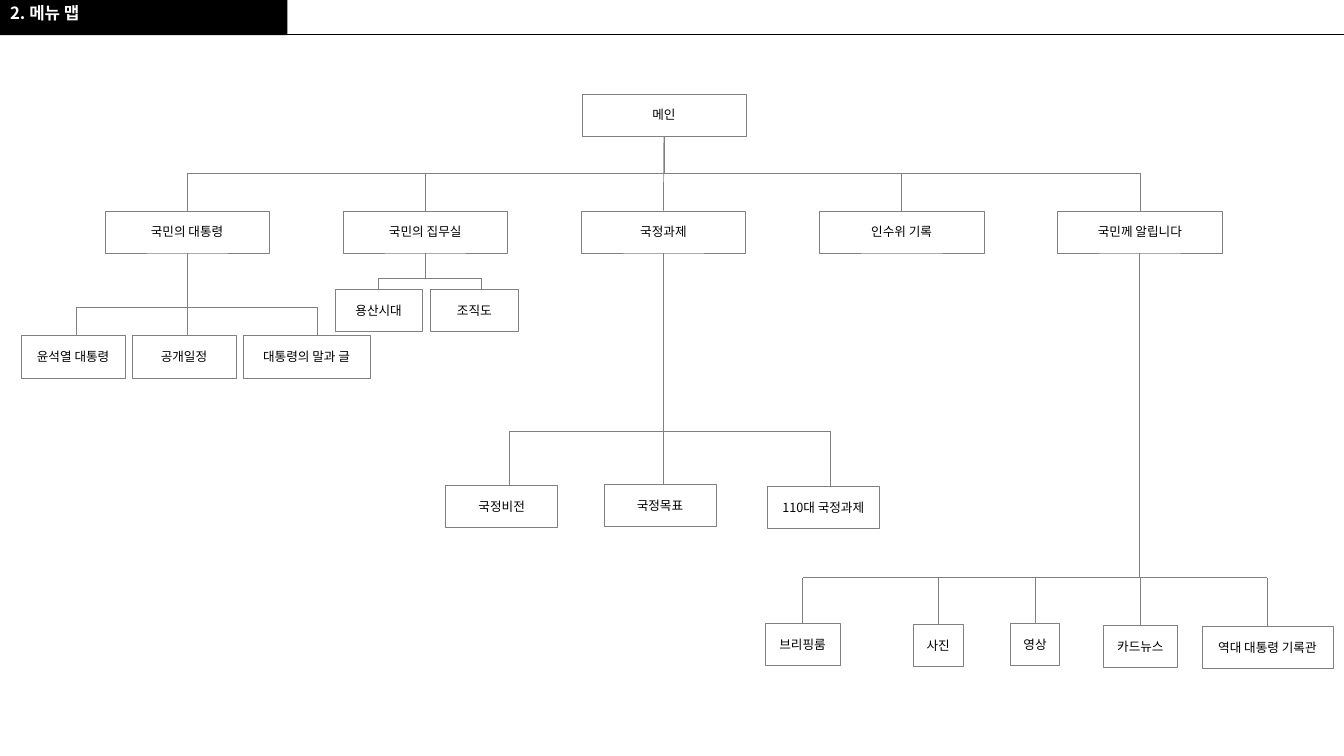
import pptx
import pptx.util
import pptx.dml.color
import pptx.enum.shapes
import pptx.enum.text
import pptx.oxml
import pptx.oxml.ns
import lxml.etree

Inches = pptx.util.Inches
Pt = pptx.util.Pt
RGBColor = pptx.dml.color.RGBColor
SHAPE = pptx.enum.shapes.MSO_SHAPE
CONNECTOR = pptx.enum.shapes.MSO_CONNECTOR
ALIGN = pptx.enum.text.PP_ALIGN
ANCHOR = pptx.enum.text.MSO_ANCHOR
qn = pptx.oxml.ns.qn

BLACK = RGBColor(0x00, 0x00, 0x00)
WHITE = RGBColor(0xFF, 0xFF, 0xFF)
GRAY = RGBColor(0x80, 0x80, 0x80)
FONT = "Noto Sans CJK KR"
BOX_HEIGHT = 0.42

deck = pptx.Presentation()
deck.slide_width = Inches(13.33)
deck.slide_height = Inches(7.5)
page = deck.slides.add_slide(deck.slide_layouts[5])


def add_line(kind, x1, y1, x2, y2, color=GRAY):
    line = page.shapes.add_connector(kind, Inches(x1), Inches(y1), Inches(x2), Inches(y2))
    line.line.color.rgb = color
    line.line.width = Pt(0.5)
    lxml.etree.SubElement(line.element.spPr, qn("a:effectLst"))
    return line


def write_text(box, text, size, color, bold, align, anchor):
    frame = box.text_frame
    frame.word_wrap = True
    frame.auto_size = pptx.enum.text.MSO_AUTO_SIZE.NONE
    frame.vertical_anchor = anchor
    para = frame.paragraphs[0]
    para.alignment = align
    span = para.add_run()
    span.text = text
    span.font.size = Pt(size)
    span.font.bold = bold
    span.font.color.rgb = color
    span.font.name = FONT
    east_asian = lxml.etree.SubElement(span.font._element, qn("a:ea"))
    east_asian.set("typeface", FONT)


heading = page.shapes.title
heading.left, heading.top = Inches(0), Inches(0.03)
heading.width, heading.height = Inches(2.85), Inches(0.32)
write_text(heading, "2. 메뉴 맵", 12, WHITE, True, ALIGN.LEFT, ANCHOR.TOP)
heading.text_frame.margin_top = Inches(0.02)
heading.text_frame.margin_bottom = 0
heading.text_frame.paragraphs[0].line_spacing = 0.9

bar = page.shapes.add_shape(SHAPE.RECTANGLE, 0, 0, Inches(2.85), Inches(0.35))
bar.shadow.inherit = False
bar.fill.solid()
bar.fill.fore_color.rgb = BLACK
bar.line.fill.background()
rule = add_line(CONNECTOR.STRAIGHT, 2.76, 0.34, 13.33, 0.34, BLACK)
for backdrop in (bar, rule):
    heading.element.addprevious(backdrop.element)

sections = ["국민의 대통령", "국민의 집무실", "국정과제", "인수위 기록", "국민께 알립니다"]
menus = [("메인", 5.77, 0.93, 1.63)]
menus += [(name, 1.04 + 2.3625 * i, 2.09, 1.63) for i, name in enumerate(sections)]

# parent: (bus height, [(name, left, top, width, drop x)])
branches = {
    "국민의 대통령": (3.05, [
        ("윤석열 대통령", 0.21, 3.33, 1.03, 0.76),
        ("공개일정", 1.31, 3.33, 1.03, 1.86),
        ("대통령의 말과 글", 2.41, 3.33, 1.26, 3.15),
    ]),
    "국민의 집무실": (2.76, [
        ("용산시대", 3.32, 2.87, 0.87, 3.76),
        ("조직도", 4.27, 2.87, 0.87, 4.77),
    ]),
    "국정과제": (4.28, [
        ("국정비전", 4.42, 4.81, 1.11, 5.05),
        ("국정목표", 5.99, 4.8, 1.11, 6.58),
        ("110대 국정과제", 7.61, 4.82, 1.11, 8.24),
    ]),
    "국민께 알립니다": (5.73, [
        ("브리핑룸", 7.59, 6.18, 0.74, 7.94),
        ("사진", 9.06, 6.19, 0.49, 9.32),
        ("영상", 10.02, 6.18, 0.49, 10.28),
        ("카드뉴스", 10.94, 6.2, 0.74, 11.3),
        ("역대 대통령 기록관", 11.92, 6.21, 1.3, 12.58),
    ]),
}
for bus, children in branches.values():
    menus += [child[:4] for child in children]

boxes = {}
centers = {}
for name, left, top, width in menus:
    box = page.shapes.add_shape(SHAPE.RECTANGLE, Inches(left), Inches(top),
                                Inches(width), Inches(BOX_HEIGHT))
    box.shadow.inherit = False
    box.fill.solid()
    box.fill.fore_color.rgb = WHITE
    box.line.color.rgb = GRAY
    box.line.width = Pt(0.25)
    write_text(box, name, 9, BLACK, False, ALIGN.CENTER, ANCHOR.MIDDLE)
    boxes[name] = box
    centers[name] = left + width / 2

main_x, main_bottom, section_top = centers["메인"], 1.35, 2.09
half_drop = (section_top - main_bottom) / 2
middle_y = main_bottom + half_drop
for name in sections:
    if name == "국정과제":
        trunk = add_line(CONNECTOR.STRAIGHT, main_x, main_bottom, main_x, section_top)
        trunk.begin_connect(boxes["메인"], 2)
        trunk.end_connect(boxes[name], 0)
        continue
    middle_x = (main_x + centers[name]) / 2
    half_span = abs(main_x - centers[name]) / 2
    side = 1 if centers[name] > main_x else -1
    elbow = add_line(CONNECTOR.ELBOW, middle_x + side * half_drop, middle_y - half_span,
                     middle_x - side * half_drop, middle_y + half_span)
    turn = 270 if side == 1 else 90
    elbow.element.spPr.find(qn("a:xfrm")).set("rot", str(turn * 60000))

for parent, (bus, children) in branches.items():
    stem_x = centers[parent]
    stem = add_line(CONNECTOR.STRAIGHT, stem_x, section_top + BOX_HEIGHT, stem_x, bus)
    stem.begin_connect(boxes[parent], 2)
    drops = []
    for name, left, top, width, drop_x in children:
        centered = abs(drop_x - centers[name]) < 0.03
        x = centers[name] if centered else drop_x
        drop = add_line(CONNECTOR.STRAIGHT, x, bus, x, top)
        if centered:
            drop.end_connect(boxes[name], 0)
        drops.append(x)
    add_line(CONNECTOR.STRAIGHT, min(drops), bus, max(drops), bus)

deck.save("out.pptx")
